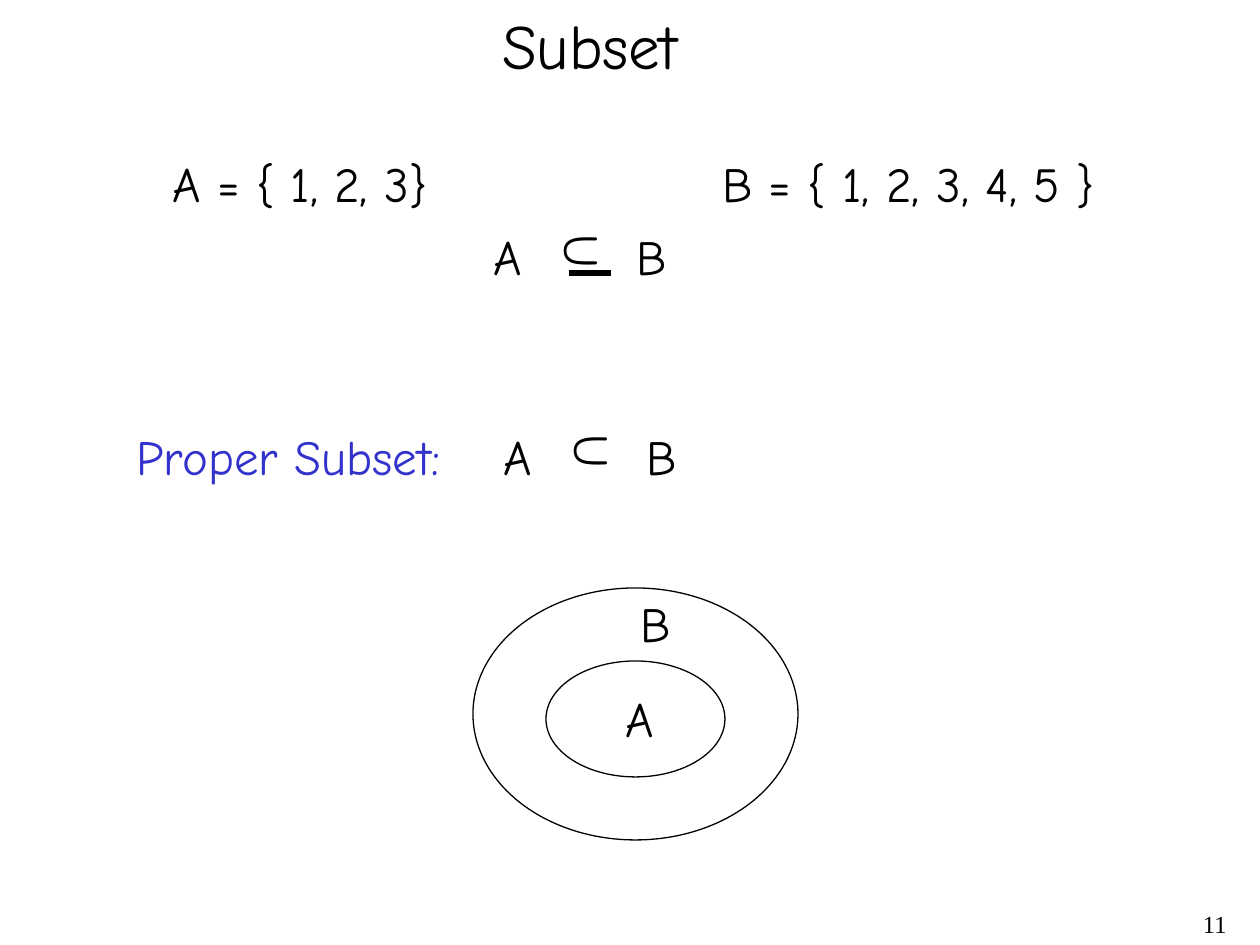
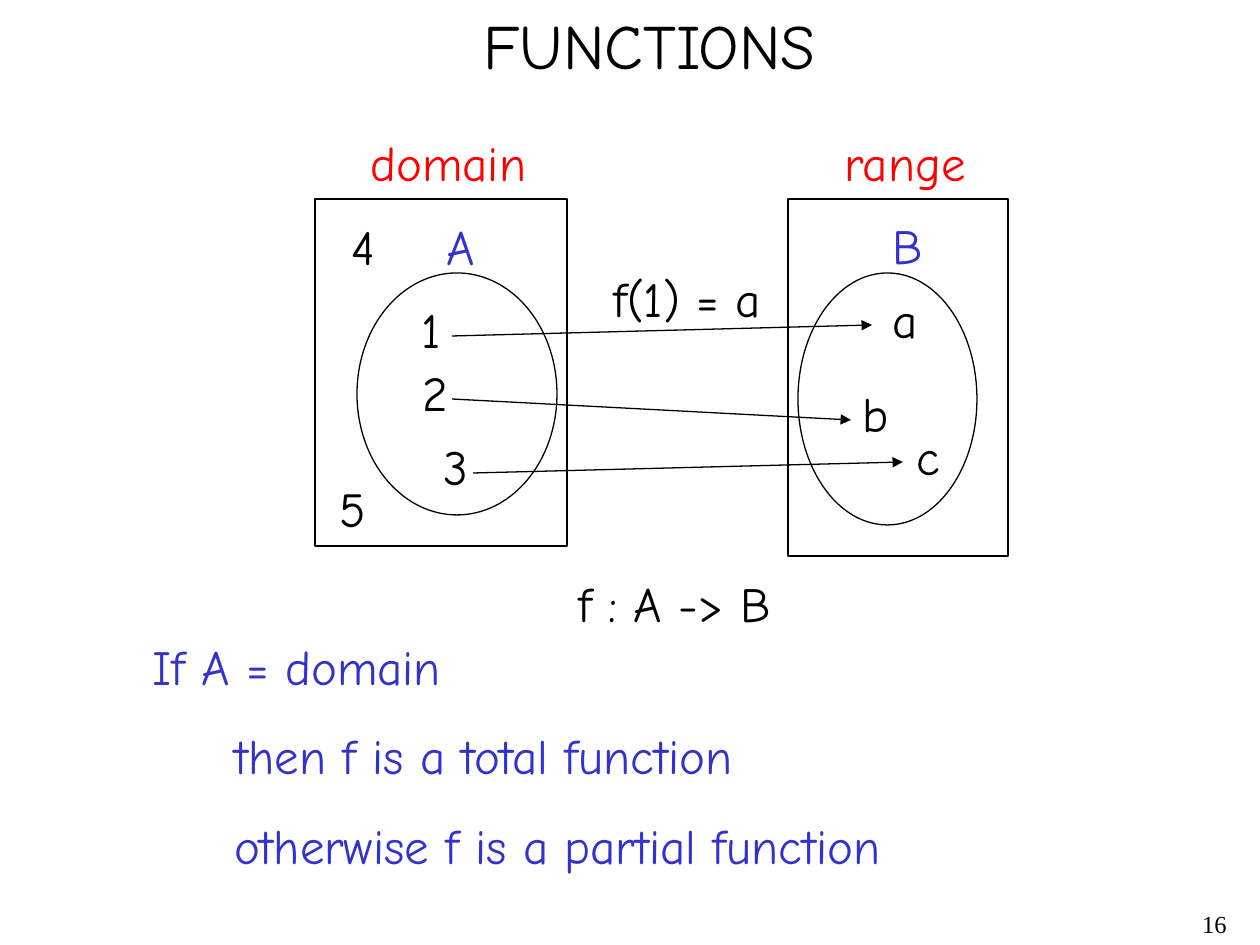
from pptx import Presentation
from pptx.dml.color import RGBColor
from pptx.enum.shapes import MSO_CONNECTOR, MSO_SHAPE
from pptx.enum.text import MSO_ANCHOR, PP_ALIGN
from pptx.oxml.ns import qn
from pptx.oxml.xmlchemy import OxmlElement
from pptx.util import Emu, Pt

BLACK = RGBColor(0x00, 0x00, 0x00)
BLUE = RGBColor(0x33, 0x33, 0xCC)
RED = RGBColor(0xFF, 0x00, 0x00)

BODY_FONT = "Comic Neue"
NUMBER_FONT = "Times New Roman"
BODY_SIZE = 28
LINE_HEIGHT = 72
PX_PER_INCH = 126


def px(length):
    return Emu(round(length * 914400 / PX_PER_INCH))


# Text
def add_text(page, text, left, top, width, height=LINE_HEIGHT, size=BODY_SIZE,
             color=BLACK, font=BODY_FONT, align=PP_ALIGN.LEFT, indent=0, tab=0):
    """Add one paragraph per line; indent applies after the first line."""
    box = page.shapes.add_textbox(px(left), px(top), px(width), px(height))
    frame = box.text_frame
    frame.word_wrap = True
    for index, line in enumerate(text.split("\n")):
        para = frame.add_paragraph() if index else frame.paragraphs[0]
        para.text = line
        para.alignment = align
        if index:
            para.space_before = Pt(17.5)
            para._p.get_or_add_pPr().set("marL", str(px(indent)))
        if tab:
            add_tab_stop(para, tab)
        para.font.name = font
        para.font.size = Pt(size)
        para.font.color.rgb = color
    return box


def add_tab_stop(para, position):
    stops = OxmlElement("a:tabLst")
    stop = OxmlElement("a:tab")
    stop.set("pos", str(px(position)))
    stop.set("algn", "l")
    stops.append(stop)
    para._p.get_or_add_pPr().append(stops)


def add_labels(page, labels, color=BLACK):
    for text, left, top, width in labels:
        add_text(page, text, left, top, width, color=color)


# Shapes and lines
def add_outline(page, kind, left, top, width, height):
    shape = page.shapes.add_shape(kind, px(left), px(top), px(width), px(height))
    shape.shadow.inherit = False
    shape.fill.background()
    shape.line.color.rgb = BLACK
    shape.line.width = Pt(0.75)


def add_line(page, start, end, weight=0.75, arrow=False):
    line = page.shapes.add_connector(
        MSO_CONNECTOR.STRAIGHT, *(px(value) for value in (*start, *end)))
    line.line.color.rgb = BLACK
    line.line.width = Pt(weight)
    properties = line._element.spPr
    if arrow:
        head = OxmlElement("a:tailEnd")
        head.set("type", "triangle")
        properties.find(qn("a:ln")).append(head)
    properties.append(OxmlElement("a:effectLst"))


def add_subset_relation(page, left, top, symbol_top):
    """Write A and B with a U turned on its side between them."""
    add_text(page, "A\tB", left, top, 215, tab=143)
    symbol = add_text(page, "U", left + 73, symbol_top, 59)
    symbol.rotation = 90


# Slides
def add_page(deck, title, title_left, title_width, number):
    page = deck.slides.add_slide(deck.slide_layouts[6])
    add_text(page, number, 977, 903, 262, 42, size=14, font=NUMBER_FONT,
             align=PP_ALIGN.RIGHT)
    heading = add_text(page, title, title_left, 0, title_width, 88, size=36,
                       align=PP_ALIGN.CENTER)
    heading.text_frame.vertical_anchor = MSO_ANCHOR.MIDDLE
    return page


def build_subset(deck):
    page = add_page(deck, "Subset", 484, 212, "11")
    add_text(page, "A = { 1, 2, 3}\tB = { 1, 2, 3, 4, 5 }", 160, 147, 980, tab=550)

    # Subset and proper subset
    add_subset_relation(page, 481, 220, 216)
    add_line(page, (569, 273), (611, 273), weight=3)
    add_text(page, "Proper Subset:", 124, 420, 340, color=BLUE)
    add_subset_relation(page, 491, 420, 416)

    # Nested sets
    add_outline(page, MSO_SHAPE.OVAL, 546, 661, 179, 116)
    add_outline(page, MSO_SHAPE.OVAL, 473, 588, 325, 252)
    add_labels(page, [("A", 613, 682, 55), ("B", 628, 587, 55)])


def build_functions(deck):
    page = add_page(deck, "FUNCTIONS", 465, 369, "16")

    # Domain and range with their subsets
    add_outline(page, MSO_SHAPE.RECTANGLE, 315, 199, 252, 347)
    add_outline(page, MSO_SHAPE.RECTANGLE, 788, 199, 220, 357)
    add_outline(page, MSO_SHAPE.OVAL, 357, 273, 200, 242)
    add_outline(page, MSO_SHAPE.OVAL, 798, 273, 179, 252)
    add_labels(page, [("domain", 358, 126, 195), ("range", 832, 126, 160)], RED)
    add_labels(page, [("A", 434, 210, 55), ("B", 880, 209, 55)], BLUE)

    # Elements
    add_labels(page, [
        ("1", 409, 293, 50), ("2", 410, 356, 50), ("3", 431, 430, 50),
        ("4", 339, 210, 50), ("5", 327, 472, 52),
        ("a", 880, 283, 50), ("b", 850, 377, 52), ("c", 904, 420, 50),
    ])

    # Mapping
    for start, end in [((452, 336), (872, 325)),
                       ((452, 399), (851, 420)),
                       ((473, 473), (903, 462))]:
        add_line(page, start, end, arrow=True)
    add_labels(page, [("f(1) = a", 601, 262, 185), ("f : A -> B", 566, 567, 245)])

    # Total and partial functions
    add_text(page, "If A = domain\nthen f is a total function\n"
                   "otherwise f is a partial function",
             140, 630, 800, 251, color=BLUE, indent=82)


def main():
    deck = Presentation()
    deck.slide_width = px(1260)
    deck.slide_height = px(945)
    build_subset(deck)
    build_functions(deck)
    deck.save("out.pptx")


if __name__ == "__main__":
    main()
